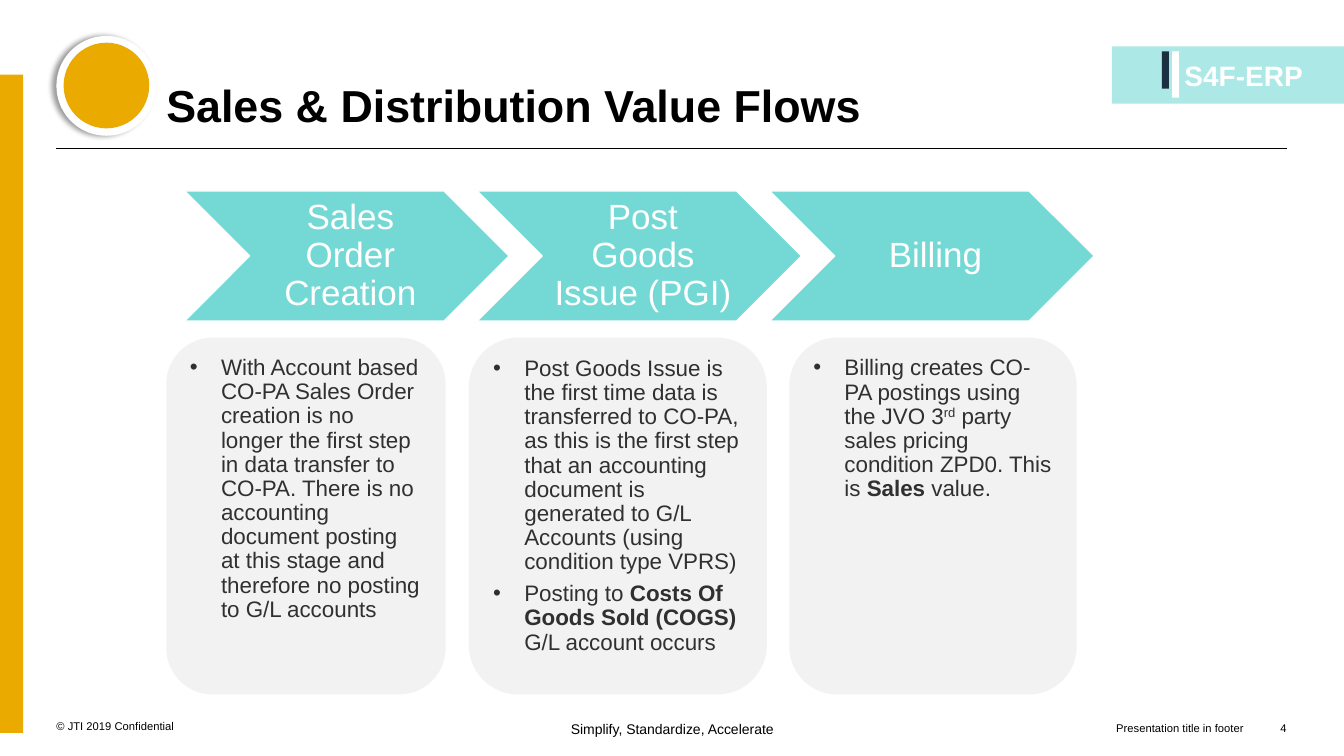
from dataclasses import dataclass

from lxml.etree import SubElement as Sub
from pptx import Presentation
from pptx.dml.color import RGBColor as Rgb
from pptx.enum.shapes import MSO_CONNECTOR as Line, MSO_SHAPE as Kind
from pptx.enum.text import MSO_ANCHOR as Anchor, MSO_AUTO_SIZE as Fit, PP_ALIGN as Align
from pptx.oxml.ns import qn
from pptx.util import Pt

TITLE = "Sales & Distribution Value Flows"
BADGE = "S4F-ERP"

# (step, card left, card width, bullets); a bullet is a list of (text, style)
STEPS = [
    ("Sales Order Creation", 118.8, 199.5, [
        [("With Account based CO-PA Sales Order creation is no longer the first step "
          "in data transfer to CO-PA. There is no accounting document posting at this "
          "stage and therefore no posting to G/L accounts", "")],
    ]),
    ("Post Goods Issue (PGI)", 334.8, 213, [
        [("Post Goods Issue is the first time data is transferred to CO-PA, as this is "
          "the first step that an accounting document is generated to G/L Accounts "
          "(using condition type VPRS)", "")],
        [("Posting to ", ""), ("Costs Of Goods Sold (COGS)", "bold"),
         (" G/L account occurs", "")],
    ]),
    ("Billing", 563.8, 205.2, [
        [("Billing creates CO-PA postings using the JVO 3", ""), ("rd", "super"),
         (" party sales pricing condition ZPD0. This is ", ""), ("Sales", "bold"),
         (" value.", "")],
    ]),
]


@dataclass(frozen=True)
class Theme:
    font: str = "Arial"
    black: str = "000000"
    white: str = "FFFFFF"
    gold: str = "EAAA00"
    teal: str = "74D9D5"
    pale: str = "ACE8E6"
    navy: str = "1A3040"
    card: str = "F2F2F2"
    ink: str = "303030"
    title: float = 32
    step: float = 25
    badge: float = 20
    body: float = 16
    motto: float = 10
    small: float = 8


THEME = Theme()

# (text, box, size, alignment, anchor)
FOOTER = [
    ("© JTI 2019 Confidential", (40.3, 494.6, 141.8, 28.8), THEME.small, Align.LEFT, Anchor.BOTTOM),
    ("Simplify, Standardize, Accelerate", (370, 514.8, 220.3, 21.6), THEME.motto, Align.CENTER, Anchor.TOP),
    ("Presentation title in footer", (557.3, 496, 331.2, 28.8), THEME.small, Align.RIGHT, Anchor.BOTTOM),
    ("4", (888, 496, 31, 28.8), THEME.small, Align.RIGHT, Anchor.BOTTOM),
]

CHEVRON = (131.8, 136.4, 231.8, 92.9)
PITCH = 209
CARD_TOP, CARD_HIGH = 241.2, 254.9
INDENT = 22.3


def place(box):
    return [Pt(v) for v in box]


def style(para, size, color, bold=False, align=Align.LEFT):
    para.alignment = align
    font = para.font
    font.name, font.size, font.bold = THEME.font, Pt(size), bold
    font.color.rgb = Rgb.from_string(color)


def inset(frame, left=0, top=0, right=0, bottom=0):
    frame.margin_left, frame.margin_top = Pt(left), Pt(top)
    frame.margin_right, frame.margin_bottom = Pt(right), Pt(bottom)


def add_form(slide, kind, box, fill, edge=None):
    form = slide.shapes.add_shape(kind, *place(box))
    form.shadow.inherit = False
    form.fill.solid()
    form.fill.fore_color.rgb = Rgb.from_string(fill)
    if edge:
        form.line.color.rgb = Rgb.from_string(edge)
        form.line.width = Pt(1)
    else:
        form.line.fill.background()
    return form


def add_label(slide, text, box, size, align, anchor, color=THEME.black, bold=False):
    frame = slide.shapes.add_textbox(*place(box)).text_frame
    frame.word_wrap = True
    frame.vertical_anchor = anchor
    inset(frame)
    frame.text = text
    style(frame.paragraphs[0], size, color, bold, align)


def add_glow(form):
    """Cast a soft shadow to the left of the form."""
    effects = form._element.spPr.find(qn("a:effectLst"))
    shade = Sub(effects, qn("a:outerShdw"), blurRad=str(Pt(4)), dist=str(Pt(3)),
                dir="10800000", algn="ctr", rotWithShape="0")
    color = Sub(shade, qn("a:srgbClr"), val=THEME.black)
    Sub(color, qn("a:alpha"), val="40000")


def add_bullet(para):
    props = para._p.get_or_add_pPr()
    props.set("marL", str(Pt(INDENT)))
    props.set("indent", str(-Pt(INDENT)))
    Sub(props, qn("a:buFont"), typeface=THEME.font)
    Sub(props, qn("a:buChar"), char="•")


def add_title(slide):
    title = slide.shapes.title
    title.left, title.top, title.width, title.height = place((118.8, 16.6, 701.3, 77.8))
    frame = title.text_frame
    frame.text = TITLE
    frame.word_wrap = True
    frame.auto_size = Fit.NONE
    frame.vertical_anchor = Anchor.BOTTOM
    inset(frame)
    para = frame.paragraphs[0]
    para.line_spacing = 0.9
    style(para, THEME.title, THEME.black, True)


def add_frame(slide):
    """Add the rule, badge, side bar, disc and footer."""
    rule = slide.shapes.add_connector(Line.STRAIGHT, *place((40.3, 105.8, 919.4, 105.8)))
    rule.line.color.rgb = Rgb.from_string(THEME.black)
    rule.line.width = Pt(0.75)
    Sub(rule._element.spPr, qn("a:effectLst"))

    add_form(slide, Kind.RECTANGLE, (794.2, 33.1, 165.8, 41), THEME.pale)
    add_form(slide, Kind.RECTANGLE, (830, 36.7, 5, 26.6), THEME.navy)
    bar = add_form(slide, Kind.ROUNDED_RECTANGLE, (837.2, 36.7, 5, 33.1), THEME.white)
    bar.adjustments[0] = 0.07
    add_label(slide, BADGE, (846, 41.8, 90, 36), THEME.badge, Align.LEFT, Anchor.TOP,
              THEME.white, True)

    add_form(slide, Kind.RECTANGLE, (0, 53.3, 16.6, 470.2), THEME.gold)
    add_glow(add_form(slide, Kind.OVAL, (40.3, 25.7, 71.3, 71.3), THEME.white))
    add_form(slide, Kind.OVAL, (45.4, 30.5, 61.2, 61.2), THEME.gold)
    for item in FOOTER:
        add_label(slide, *item)


def add_step(slide, index, name):
    left, top, wide, high = CHEVRON
    form = add_form(slide, Kind.CHEVRON, (left + index * PITCH, top, wide, high),
                    THEME.teal, THEME.white)
    frame = form.text_frame
    frame.text = name
    frame.word_wrap = True
    frame.vertical_anchor = Anchor.MIDDLE
    inset(frame, 7.9, 2.9, 2.9, 2.9)
    para = frame.paragraphs[0]
    para.line_spacing = 0.9
    style(para, THEME.step, THEME.white, align=Align.CENTER)


def add_card(slide, left, wide, bullets):
    form = add_form(slide, Kind.ROUNDED_RECTANGLE, (left, CARD_TOP, wide, CARD_HIGH), THEME.card)
    frame = form.text_frame
    frame.word_wrap = True
    frame.vertical_anchor = Anchor.TOP
    for i, parts in enumerate(bullets):
        para = frame.add_paragraph() if i else frame.paragraphs[0]
        add_bullet(para)
        para.line_spacing = 0.9
        para.space_after = Pt(5.6)
        style(para, THEME.body, THEME.ink)
        for text, mark in parts:
            run = para.add_run()
            run.text = text
            if mark == "bold":
                run.font.bold = True
            elif mark == "super":
                run._r.get_or_add_rPr().set("baseline", "30000")


def main():
    deck = Presentation()
    deck.slide_width, deck.slide_height = Pt(960), Pt(540)
    slide = deck.slides.add_slide(deck.slide_layouts[5])
    add_frame(slide)
    add_title(slide)
    for i, (name, left, wide, bullets) in enumerate(STEPS):
        add_step(slide, i, name)
        add_card(slide, left, wide, bullets)
    deck.save("out.pptx")


if __name__ == "__main__":
    main()
